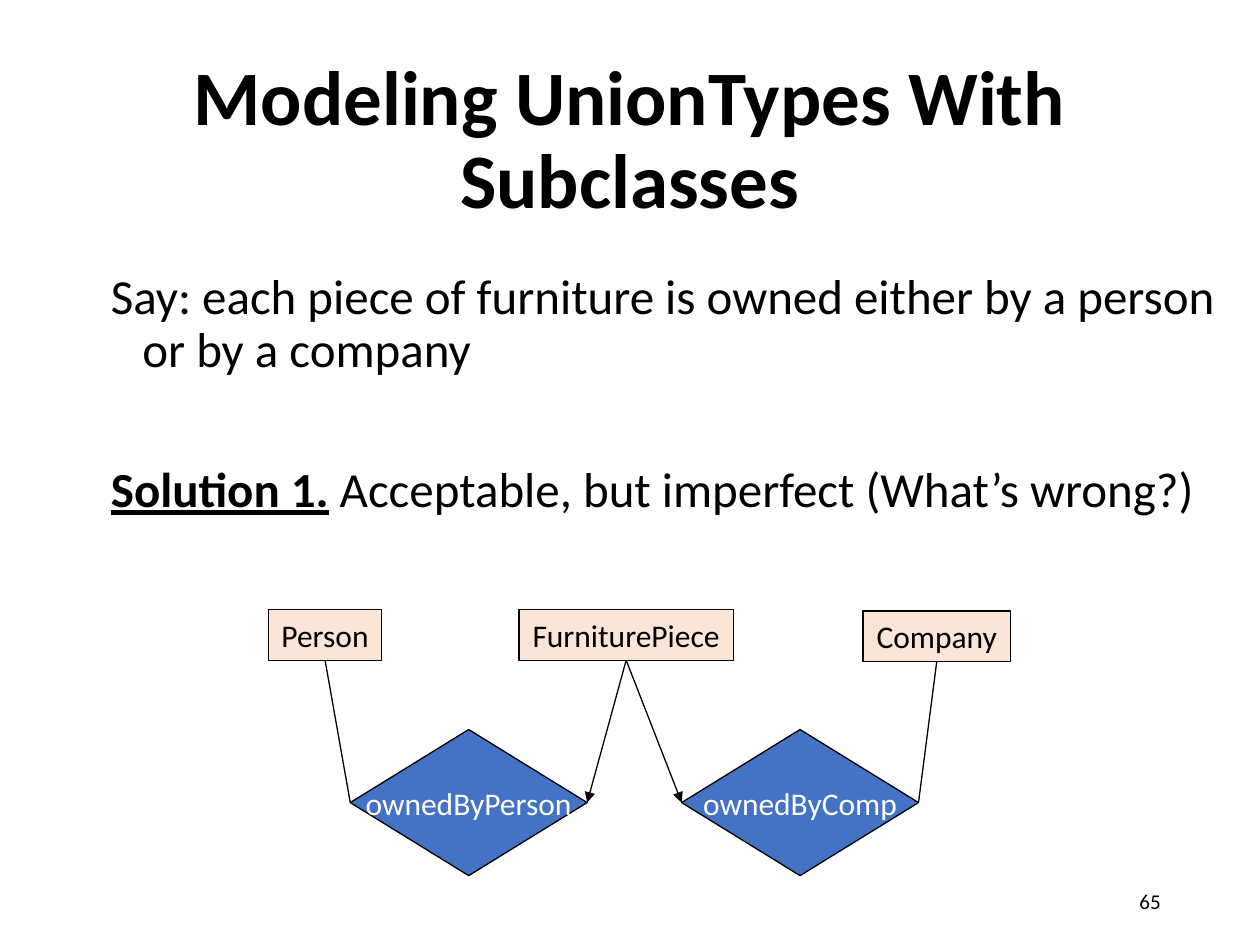
from lxml import etree
from pptx import Presentation
from pptx.dml.color import RGBColor
from pptx.enum.shapes import MSO_CONNECTOR, MSO_SHAPE
from pptx.enum.text import MSO_ANCHOR, MSO_AUTO_SIZE, PP_ALIGN
from pptx.oxml.ns import qn
from pptx.util import Inches, Pt

RECTANGLE, DIAMOND = MSO_SHAPE.RECTANGLE, MSO_SHAPE.DIAMOND
STRAIGHT = MSO_CONNECTOR.STRAIGHT
MIDDLE = MSO_ANCHOR.MIDDLE
NO_FIT = MSO_AUTO_SIZE.NONE
CENTER, RIGHT = PP_ALIGN.CENTER, PP_ALIGN.RIGHT
LEFT_SIDE, BOTTOM_SIDE, RIGHT_SIDE = 1, 2, 3


def color(value):
    return RGBColor.from_string(value)


def set_font(paragraph, size, value="000000"):
    paragraph.font.name = "Calibri"
    paragraph.font.size = Pt(size)
    paragraph.font.color.rgb = color(value)


prs = Presentation()
prs.slide_width, prs.slide_height = Inches(10), Inches(7.5)
slide = prs.slides.add_slide(prs.slide_layouts[1])

title = slide.shapes.title
title.left, title.top = Inches(0.69), Inches(0.4)
title.width, title.height = Inches(8.62), Inches(1.45)
title.text_frame.text = "Modeling UnionTypes With Subclasses"
title.text_frame.auto_size = NO_FIT
title.text_frame.vertical_anchor = MIDDLE
heading = title.text_frame.paragraphs[0]
heading.alignment = CENTER
heading.line_spacing = 0.9
set_font(heading, 44)
heading.font.bold = True

body = slide.placeholders[1]
body.left, body.top = Inches(0.78), Inches(2.11)
body.width, body.height = Inches(9.05), Inches(3.38)
body.text_frame.auto_size = NO_FIT
premise = body.text_frame.paragraphs[0]
premise.text = "Say: each piece of furniture is owned either by a person or by a company"
solution = body.text_frame.add_paragraph()
label = solution.add_run()
label.text = "Solution 1."
label.font.bold = label.font.underline = True
solution.add_run().text = " Acceptable, but imperfect (What’s wrong?)"
for paragraph, space in ((premise, 0), (solution, 50)):
    properties = paragraph._p.get_or_add_pPr()
    properties.set("marL", str(Inches(0.25)))
    properties.set("indent", str(-Inches(0.25)))
    etree.SubElement(properties, qn("a:buNone"))
    paragraph.line_spacing = 0.9
    paragraph.space_before = Pt(space)
    set_font(paragraph, 28)

nodes = {}
for name, preset, left, top, width, height, fill, ink in (
    ("FurniturePiece", RECTANGLE, 4.12, 4.84, 1.7, 0.4, "FBE5D6", "000000"),
    ("Person", RECTANGLE, 2.13, 4.84, 0.9, 0.4, "FBE5D6", "000000"),
    ("Company", RECTANGLE, 6.85, 4.85, 1.17, 0.4, "FBE5D6", "000000"),
    ("ownedByPerson", DIAMOND, 2.78, 5.79, 1.88, 1.16, "4472C4", "FFFFFF"),
    ("ownedByComp", DIAMOND, 5.41, 5.79, 1.88, 1.16, "4472C4", "FFFFFF"),
):
    node = slide.shapes.add_shape(
        preset, Inches(left), Inches(top), Inches(width), Inches(height))
    node.shadow.inherit = False
    node.fill.solid()
    node.fill.fore_color.rgb = color(fill)
    node.line.color.rgb = color("000000")
    node.line.width = Pt(0.75)
    node.text_frame.text = name
    node.text_frame.word_wrap = False
    node.text_frame.vertical_anchor = MIDDLE
    node.text_frame.paragraphs[0].alignment = CENTER
    set_font(node.text_frame.paragraphs[0], 18, ink)
    nodes[name] = node

for entity, relationship, side, arrow in (
    ("FurniturePiece", "ownedByPerson", RIGHT_SIDE, True),
    ("FurniturePiece", "ownedByComp", LEFT_SIDE, True),
    ("Person", "ownedByPerson", LEFT_SIDE, False),
    ("Company", "ownedByComp", RIGHT_SIDE, False),
):
    link = slide.shapes.add_connector(STRAIGHT, 0, 0, 0, 0)
    link.begin_connect(nodes[entity], BOTTOM_SIDE)
    link.end_connect(nodes[relationship], side)
    link.line.color.rgb = color("000000")
    link.line.width = Pt(0.75)
    if arrow:
        etree.SubElement(link.line._get_or_add_ln(), qn("a:tailEnd"), type="triangle")
    etree.SubElement(link._element.spPr, qn("a:effectLst"))

page_number = slide.shapes.add_textbox(
    Inches(7.06), Inches(6.95), Inches(2.25), Inches(0.4))
page_number.text_frame.word_wrap = True
page_number.text_frame.vertical_anchor = MIDDLE
page_number.text_frame.text = "65"
page_number.text_frame.paragraphs[0].alignment = RIGHT
set_font(page_number.text_frame.paragraphs[0], 12)

prs.save("out.pptx")
